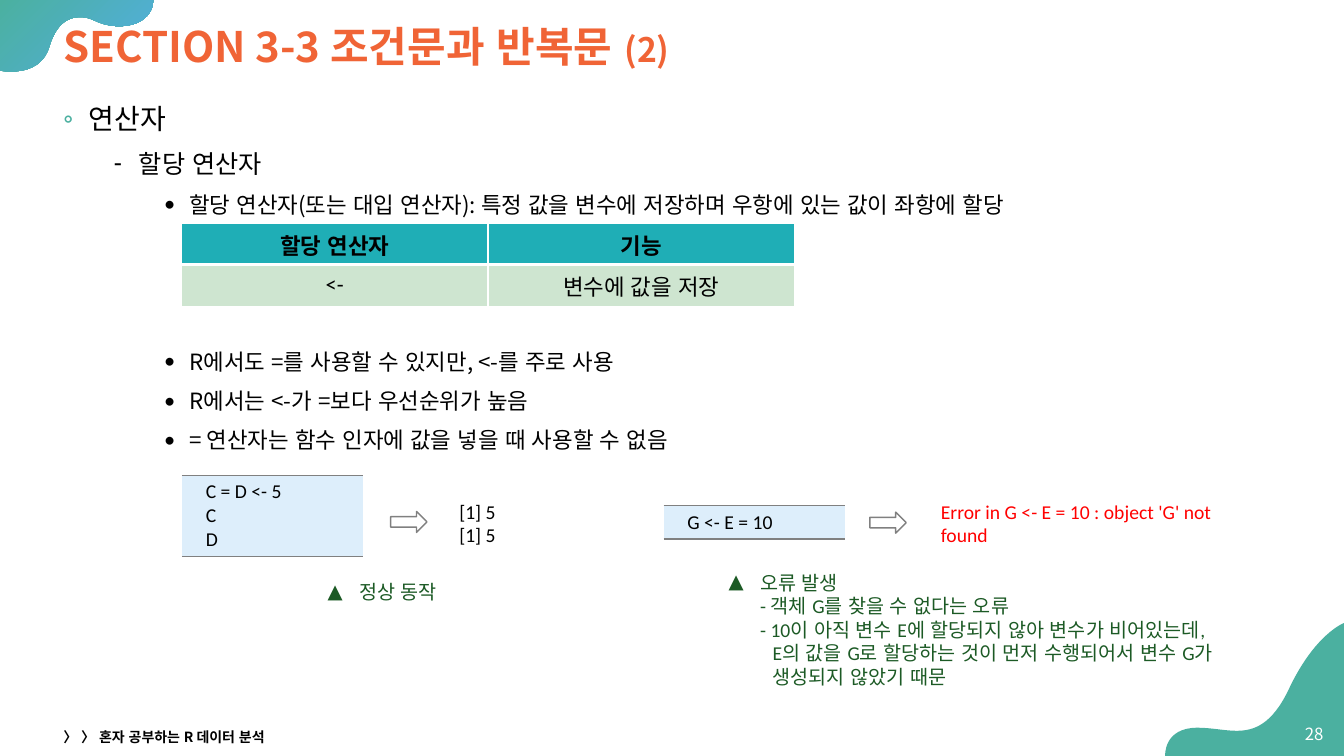
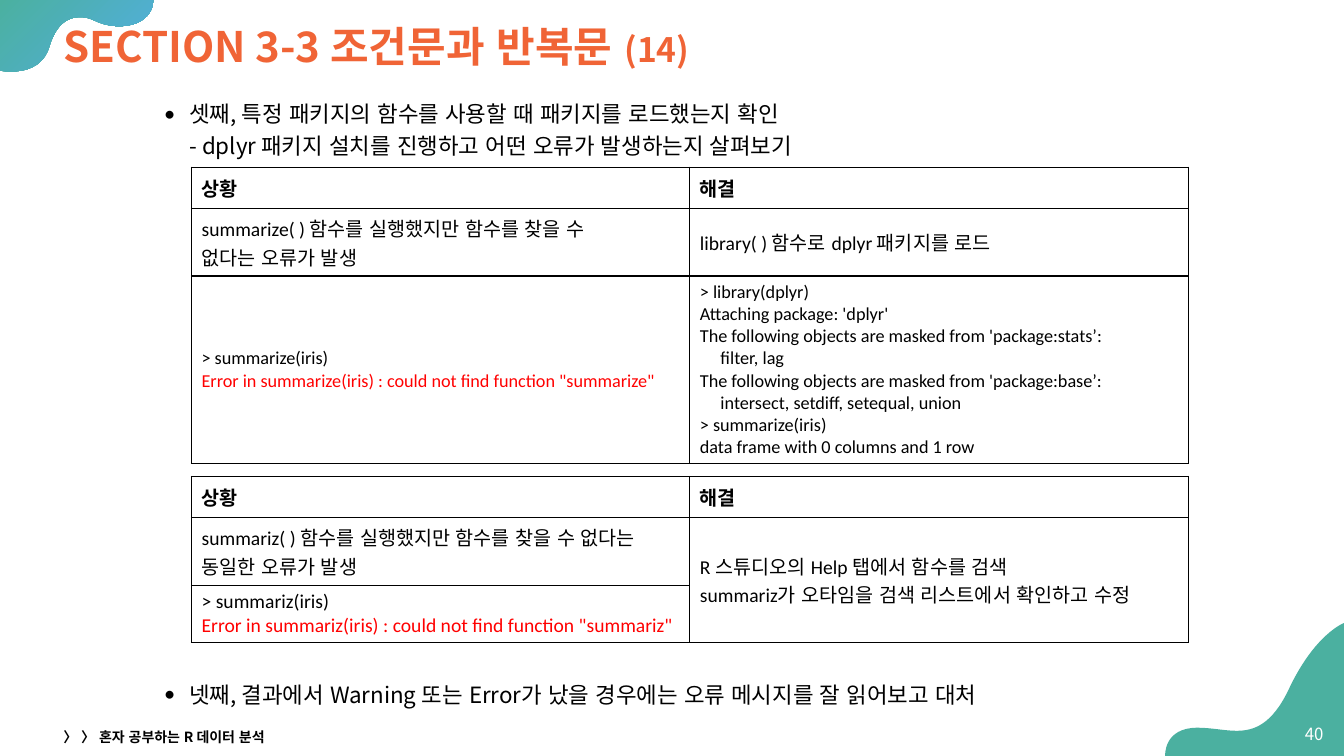
"""Build two lecture slides on R operators and error handling."""
from dataclasses import dataclass

from lxml import etree
from pptx import Presentation
from pptx.dml.color import RGBColor
from pptx.enum.shapes import MSO_SHAPE as SHAPE
from pptx.enum.text import MSO_ANCHOR as ANCHOR, PP_ALIGN as ALIGN
from pptx.oxml.ns import qn
from pptx.util import Pt


@dataclass(frozen=True)
class Theme:
    sans: str = "Noto Sans CJK KR"
    code: str = "Calibri"
    black: str = "000000"
    white: str = "FFFFFF"
    gray: str = "808080"
    teal: str = "4BB0A0"
    blue: str = "52AEE1"
    orange: str = "F06436"
    green: str = "1C5A25"
    red: str = "FF0000"
    head_fill: str = "1FAEB6"
    row_fill: str = "CEE5D0"
    code_fill: str = "DDEEFB"
    title: float = 30
    subtitle: float = 24
    levels: tuple = (20, 18, 16)
    table: float = 16
    text: float = 14
    console: float = 13
    number: float = 12
    footer: float = 10


T = Theme()


@dataclass
class Para:
    text: str
    size: float = T.text
    color: str = T.black
    bold: bool = False
    font: str = T.code
    align: ALIGN = ALIGN.LEFT
    bullet: str = ""
    bullet_color: str = T.black
    margin: float = 0
    indent: float = 0
    before: float = 0
    line: float = 0
    tail: str = ""


W, H = 960, 540
BODY_X, BODY_Y, BODY_W = 38.2, 64.3, 888.5
FOOTER = "〉 〉 혼자 공부하는 R 데이터 분석"
TITLE = "SECTION 3-3 조건문과 반복문 "
LEVELS = (("◦", T.teal, 18, 0), ("⁃", T.black, 54, 5), ("•", T.black, 90, 5))

CORNER = ((109.4, 0), [
    [(0, 0)], [(0, 50.4)],
    [(0, 50.4), (2.9, 51.1), (7.9, 51.1)],
    [(17.3, 51.1), (31, 48.2), (35.3, 33.1)],
    [(40.3, 16.6), (49, 12.2), (56.9, 12.2)],
    [(60.5, 12.2), (64.1, 13), (67, 14.4)],
    [(72.7, 17.3), (79.2, 18.7), (85, 18.7)],
    [(98.6, 18.7), (109.4, 12.2), (109.4, 0)]])
WAVE = ((W, 445), [
    [(W, 445), (938.9, 452.9), (920.2, 493.2)],
    [(908.6, 517), (896.4, 522), (883.4, 522)],
    [(874.8, 522), (865.4, 519.8), (855.4, 519.8)],
    [(830.9, 519.8), (832.3, H), (832.3, H)],
    [(W, H)]])

OPERATORS = [(0, "연산자"), (1, "할당 연산자"),
             (2, "할당 연산자(또는 대입 연산자): 특정 값을 변수에 저장하며 우항에 있는 값이 좌항에 할당")]
OPERATOR_RULES = [(2, "R에서도 =를 사용할 수 있지만, <-를 주로 사용"),
                  (2, "R에서는 <-가 =보다 우선순위가 높음"),
                  (2, "= 연산자는 함수 인자에 값을 넣을 때 사용할 수 없음")]
OPERATOR_TABLE = [["할당 연산자", "기능"], ["<-", "변수에 값을 저장"]]
EXAMPLES = [
    dict(x=130, y=339.5, h=58, code=["C = D <- 5", "C", "D"],
         arrow=(279, 365.3), out=(321, 109), color=T.black, result=["[1] 5", "[1] 5"]),
    dict(x=474, y=361, h=24, code=["G <- E = 10"],
         arrow=(621.3, 365.8), out=(665, 244), color=T.red,
         result=["Error in G <- E = 10 : object 'G' not found"]),
]
CAPTIONS = [
    (227, 411, 110, ["정상 동작"]),
    (513.4, 404, 396, ["오류 발생", "- 객체 G를 찾을 수 없다는 오류",
                       "- 10이 아직 변수 E에 할당되지 않아 변수가 비어있는데,\n"
                       "E의 값을 G로 할당하는 것이 먼저 수행되어서 변수 G가\n"
                       "생성되지 않았기 때문"]),
]

THIRD = [(2, "셋째, 특정 패키지의 함수를 사용할 때 패키지를 로드했는지 확인\n"
             "- dplyr 패키지 설치를 진행하고 어떤 오류가 발생하는지 살펴보기")]
FOURTH = [(2, "넷째, 결과에서 Warning 또는 Error가 났을 경우에는 오류 메시지를 잘 읽어보고 대처")]
HEADINGS = [[Para(t, bold=True)] for t in ("상황", "해결")]
LOAD_OUTPUT = ["> library(dplyr)", "Attaching package: 'dplyr'",
               "The following objects are masked from 'package:stats’:",
               "     filter, lag",
               "The following objects are masked from 'package:base’:",
               "     intersect, setdiff, setequal, union",
               "> summarize(iris)", "data frame with 0 columns and 1 row"]
CASES = [
    dict(y=119.5, heights=(29.3, 48.4, 133.8), merge=False, rows=[
        HEADINGS,
        [[Para("summarize( ) 함수를 실행했지만 함수를 찾을 수\n없다는 오류가 발생")],
         [Para("library( ) 함수로 dplyr 패키지를 로드")]],
        [[Para("> summarize(iris)", T.console),
          Para('Error in summarize(iris) : could not find function "summarize"',
               T.console, T.red)],
         [Para(t, T.console) for t in LOAD_OUTPUT]]]),
    dict(y=340.3, heights=(29.3, 48.4, 41), merge=True, rows=[
        HEADINGS,
        [[Para("summariz( ) 함수를 실행했지만 함수를 찾을 수 없다는\n동일한 오류가 발생")],
         [Para("R 스튜디오의 Help 탭에서 함수를 검색\n"
               "summariz가 오타임을 검색 리스트에서 확인하고 수정")]],
        [[Para("> summariz(iris)"),
          Para('Error in summariz(iris) : could not find function "summariz"',
               color=T.red)], None]]),
]


def rgb(color):
    return RGBColor.from_string(color)


def child(parent, tag, **attrs):
    return etree.SubElement(parent, qn(tag), attrs)


def add_run(p, text, para, size):
    r = p.add_run()
    r.text = text
    f = r.font
    f.size, f.bold = Pt(size), para.bold
    f.color.rgb = rgb(para.color)
    f.name = para.font
    rPr = r._r.get_or_add_rPr()
    rPr.set("lang", "ko-KR")
    child(rPr, "a:ea", typeface=T.sans)


def write(tf, paras):
    for i, para in enumerate(paras):
        p = tf.add_paragraph() if i else tf.paragraphs[0]
        pPr = p._p.get_or_add_pPr()
        pPr.set("marL", str(Pt(para.margin)))
        pPr.set("indent", str(Pt(para.indent)))
        if para.bullet:
            child(child(pPr, "a:buClr"), "a:srgbClr", val=para.bullet_color)
            child(pPr, "a:buFont", typeface=T.code)
            child(pPr, "a:buChar", char=para.bullet)
        p.alignment = para.align
        if i:
            p.space_before = Pt(para.before)
        if para.line:
            p.line_spacing = para.line
        for n, text in enumerate(para.text.split("\n")):
            if n:
                p.add_line_break()
            add_run(p, text, para, para.size)
        if para.tail:
            add_run(p, para.tail, para, T.subtitle)


def add_text(s, box, paras, anchor=ANCHOR.TOP):
    tf = s.shapes.add_textbox(*map(Pt, box)).text_frame
    tf.word_wrap = True
    tf.vertical_anchor = anchor
    write(tf, paras)


def add_bullets(s, y, h, items):
    paras = []
    for level, text in items:
        mark, color, margin, before = LEVELS[level]
        paras.append(Para(text, T.levels[level], font=T.sans, bullet=mark, line=1.2,
                          bullet_color=color, margin=margin, indent=-18, before=before))
    add_text(s, (BODY_X, y, BODY_W, h), paras)


def set_borders(cell, borders):
    tcPr = cell._tc.get_or_add_tcPr()
    for i, side in enumerate("LRTB"):
        color, width = borders.get(side, (None, 0))
        ln = etree.Element(qn("a:ln" + side), w=str(Pt(width)))
        if color:
            child(child(ln, "a:solidFill"), "a:srgbClr", val=color)
        else:
            child(ln, "a:noFill")
        tcPr.insert(i, ln)


def add_grid(s, x, y, col_w, heights, rows, fills, borders, anchor=ANCHOR.MIDDLE,
             left=7.2, merge=None):
    n = len(rows[0])
    table = s.shapes.add_table(len(rows), n, Pt(x), Pt(y), Pt(col_w * n),
                               Pt(sum(heights))).table
    table.first_row = table.horz_banding = False
    for col in table.columns:
        col.width = Pt(col_w)
    for i, row in enumerate(rows):
        table.rows[i].height = Pt(heights[i])
        for j, paras in enumerate(row):
            cell = table.cell(i, j)
            cell.vertical_anchor = anchor
            cell.margin_left = Pt(left)
            cell.margin_top = cell.margin_bottom = Pt(3.6)
            if fills:
                cell.fill.solid()
                cell.fill.fore_color.rgb = rgb(fills[i])
            else:
                cell.fill.background()
            set_borders(cell, borders[i])
            if paras:
                write(cell.text_frame, paras)
    if merge:
        table.cell(*merge[0]).merge(table.cell(*merge[1]))


def add_blob(s, outline):
    (x0, y0), segments = outline
    fb = s.shapes.build_freeform(Pt(x0), Pt(y0))
    fb.add_line_segments([(Pt(x), Pt(y)) for seg in segments for x, y in seg])
    sp = fb.convert_to_shape()
    lines = iter(sp._element.findall(".//" + qn("a:lnTo")))
    for seg in segments:
        first, *rest = [next(lines) for _ in seg]
        if rest:
            curve = etree.Element(qn("a:cubicBezTo"))
            first.addprevious(curve)
            for line in (first, *rest):
                curve.append(line[0])
                line.getparent().remove(line)
    sp.shadow.inherit = False
    sp.line.fill.background()
    return sp


def add_slide(prs, part, number):
    s = prs.slides.add_slide(prs.slide_layouts[6])
    fill = add_blob(s, CORNER).fill
    fill.gradient()
    fill.gradient_angle = 315
    for stop, color, pos in zip(fill.gradient_stops, (T.teal, T.blue), (0, 1)):
        stop.color.rgb, stop.position = rgb(color), pos
    fill = add_blob(s, WAVE).fill
    fill.solid()
    fill.fore_color.rgb = rgb(T.teal)
    add_text(s, (BODY_X, 8.6, BODY_W, 52.6), [
        Para(TITLE, T.title, T.orange, True, T.sans, line=0.9, tail=f"({part})")], ANCHOR.MIDDLE)
    add_text(s, (921, 510, 31.5, 28.8), [
        Para(str(number), T.number, T.white, font=T.sans, align=ALIGN.RIGHT)], ANCHOR.MIDDLE)
    add_text(s, (BODY_X, 517.5, 324, 17.5), [
        Para(FOOTER, T.footer, bold=True, font=T.sans)], ANCHOR.MIDDLE)
    return s


def operators_slide(prs):
    s = add_slide(prs, 2, 28)
    add_bullets(s, BODY_Y, 96, OPERATORS)
    add_bullets(s, 241, 90, OPERATOR_RULES)
    rows = [[[Para(t, T.table, bold=i == 0, align=ALIGN.CENTER)] for t in row]
            for i, row in enumerate(OPERATOR_TABLE)]
    thin, thick = (T.white, 1), (T.white, 3)
    add_grid(s, 129.6, 159.6, 219, (29.3, 29.8), rows, (T.head_fill, T.row_fill),
             (dict(L=thin, R=thin, T=thin, B=thick), dict(L=thin, R=thin, T=thick, B=thin)))
    rule = (T.gray, 1)
    for ex in EXAMPLES:
        add_grid(s, ex["x"], ex["y"], 129.5, (ex["h"],), [[[Para(t) for t in ex["code"]]]],
                 (T.code_fill,), (dict(T=rule, B=rule),), ANCHOR.TOP, left=17)
        sp = s.shapes.add_shape(SHAPE.RIGHT_ARROW, *map(Pt, (*ex["arrow"], 26, 15)))
        sp.shadow.inherit = False
        sp.fill.background()
        sp.line.color.rgb, sp.line.width = rgb(T.gray), Pt(1)
        x, w = ex["out"]
        add_text(s, (x, 353.5, w, 41), [Para(t, color=ex["color"]) for t in ex["result"]])
    for x, y, w, (head, *notes) in CAPTIONS:
        add_text(s, (x, y, w, 7 + 17 * (1 + sum(n.count("\n") + 1 for n in notes))),
                 [Para(head, color=T.green, bullet="▲", bullet_color=T.green,
                       margin=22.5, indent=-22.5)]
                 + [Para(n, color=T.green, margin=31.5, indent=-9) for n in notes])


def errors_slide(prs):
    s = add_slide(prs, 14, 40)
    add_bullets(s, BODY_Y, 54, THIRD)
    add_bullets(s, 479, 31, FOURTH)
    grid = dict.fromkeys("LRTB", (T.black, 1))
    for case in CASES:
        add_grid(s, 136.8, case["y"], 356, case["heights"], case["rows"], None, [grid] * 3,
                 merge=((1, 1), (2, 1)) if case["merge"] else None)


def main():
    prs = Presentation()
    prs.slide_width, prs.slide_height = Pt(W), Pt(H)
    operators_slide(prs)
    errors_slide(prs)
    prs.save("out.pptx")


if __name__ == "__main__":
    main()
